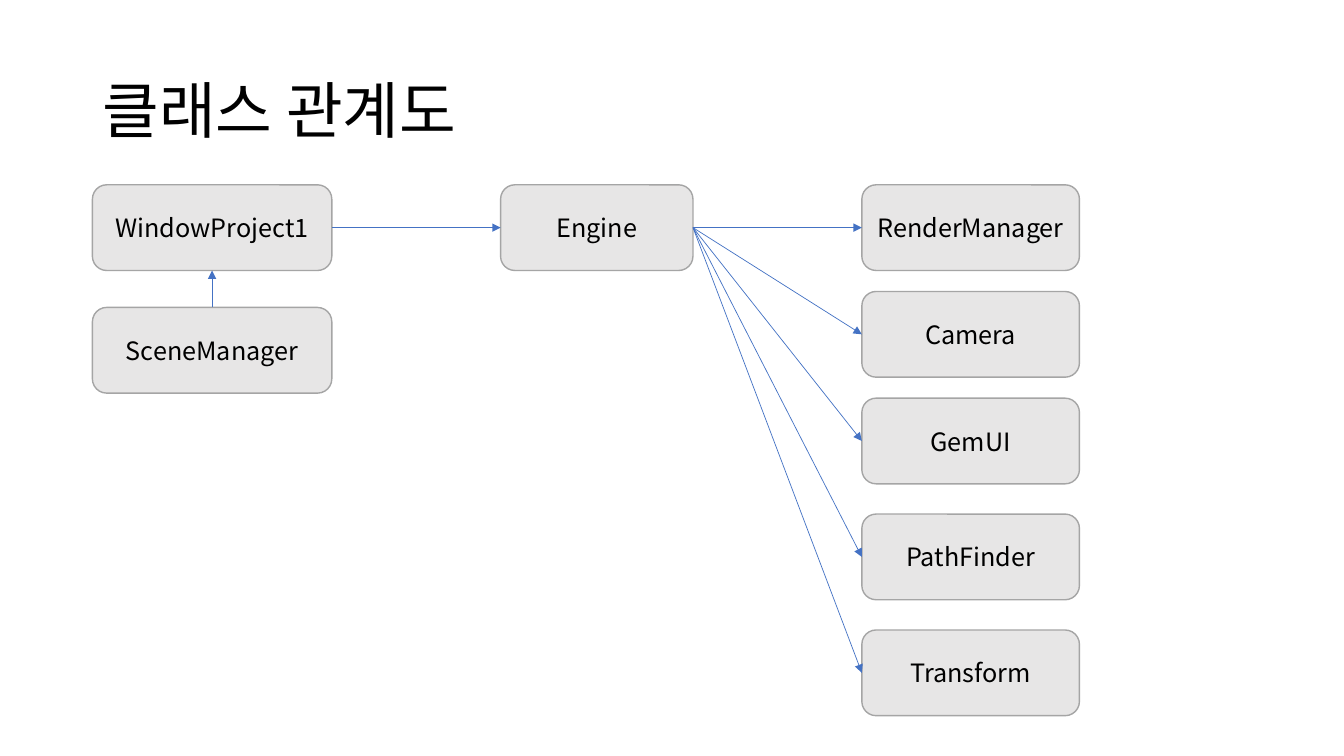
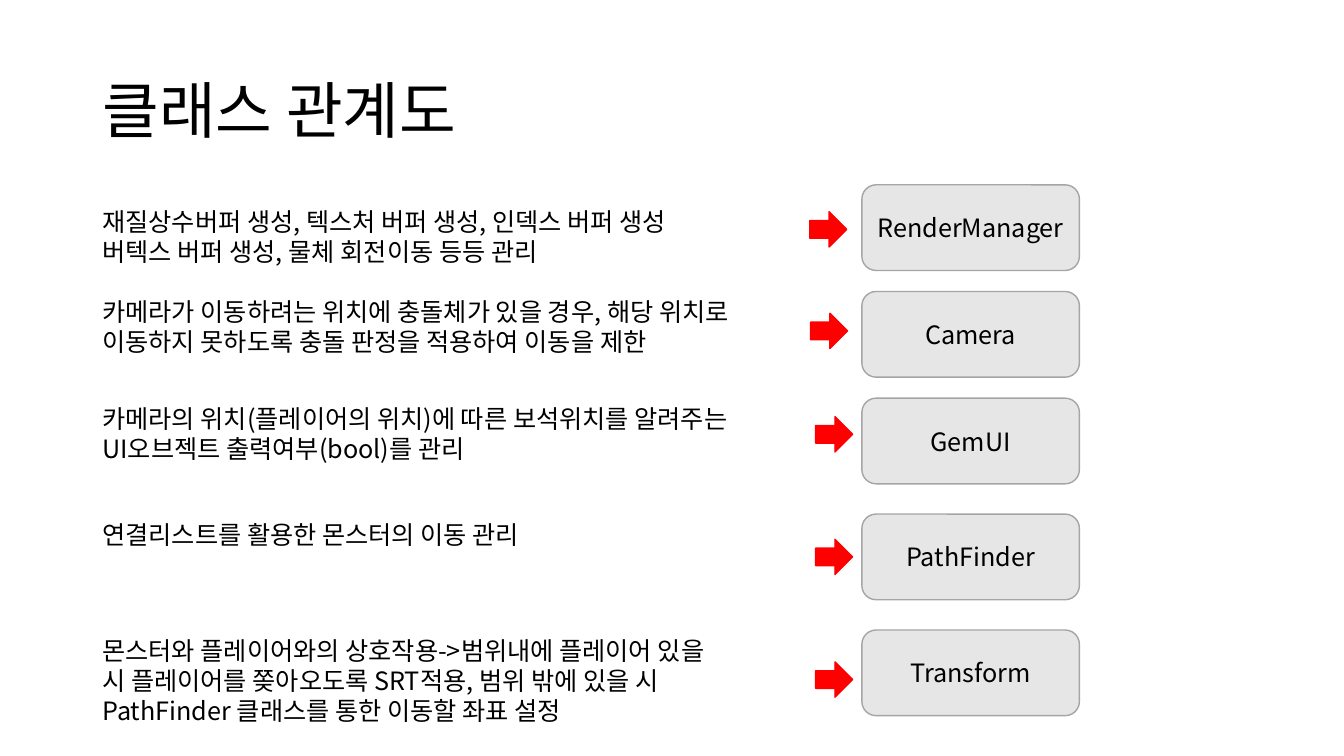
from dataclasses import dataclass

from lxml.etree import SubElement
from pptx import Presentation
from pptx.dml.color import RGBColor
from pptx.enum.shapes import MSO_CONNECTOR, MSO_SHAPE
from pptx.enum.text import MSO_ANCHOR, PP_ALIGN
from pptx.oxml.ns import qn
from pptx.util import Inches, Pt

BLACK = RGBColor(0x00, 0x00, 0x00)
GRAY_FILL = RGBColor(0xE7, 0xE6, 0xE6)
GRAY_LINE = RGBColor(0xA5, 0xA5, 0xA5)
BLUE = RGBColor(0x44, 0x72, 0xC4)
RED = RGBColor(0xFF, 0x00, 0x00)
FONT = "Noto Sans CJK KR"

SLIDE_WIDTH = Inches(13.33)
SLIDE_HEIGHT = Inches(7.5)
COLUMNS, ROWS = 160, 90
TOP, LEFT, BOTTOM, RIGHT = range(4)


@dataclass
class Box:
    left: float
    top: float
    width: float
    height: float

    def inner(self, left, top, width, height):
        return Box(self.left + left, self.top + top, width, height)

    def place(self):
        across = SLIDE_WIDTH / COLUMNS
        down = SLIDE_HEIGHT / ROWS
        return (round(self.left * across), round(self.top * down),
                round(self.width * across), round(self.height * down))


NODE_HEIGHT = 10.2
TITLE_BOX = Box(11, 4.8, 138, 17.4)
PROJECT_BOX = Box(11, 22, 28.5, NODE_HEIGHT)
SCENE_BOX = Box(11, 36.6, 28.5, NODE_HEIGHT)
ENGINE_BOX = Box(59.6, 22, 22.9, NODE_HEIGHT)
CLASSES_BOX = Box(102.6, 22, 25.9, 63.2)
NOTES_BOX = Box(11, 22, 91.6, 65)

CLASS_ROWS = {"RenderManager": 0, "Camera": 12.7, "GemUI": 25.4,
              "PathFinder": 39.2, "Transform": 53}


@dataclass
class Note:
    class_name: str
    lines: list
    arrow_left: float
    arrow_drop: float
    text_drop: float = 0


NOTES = [
    Note("RenderManager",
         ["재질상수버퍼 생성, 텍스처 버퍼 생성, 인덱스 버퍼 생성",
          "버텍스 버퍼 생성, 물체 회전이동 등등 관리"], 85.4, 3.2, 2),
    Note("Camera",
         ["카메라가 이동하려는 위치에 충돌체가 있을 경우, 해당 위치로",
          "이동하지 못하도록 충돌 판정을 적용하여 이동을 제한"], 85.5, 2.6),
    Note("GemUI",
         ["카메라의 위치(플레이어의 위치)에 따른 보석위치를 알려주는",
          "UI오브젝트 출력여부(bool)를 관리"], 86.1, 2.2),
    Note("PathFinder", ["연결리스트를 활용한 몬스터의 이동 관리"], 86.1, 3),
    Note("Transform",
         ["몬스터와 플레이어와의 상호작용->범위내에 플레이어 있을",
          "시 플레이어를 쫒아오도록 SRT적용, 범위 밖에 있을 시",
          "PathFinder 클래스를 통한 이동할 좌표 설정"], 86.1, 3.8),
]


def write(frame, lines, size, align=PP_ALIGN.LEFT, anchor=MSO_ANCHOR.TOP, spacing=None):
    frame.word_wrap = True
    frame.vertical_anchor = anchor
    frame.text = "\n".join(lines)
    for paragraph in frame.paragraphs:
        paragraph.alignment = align
        if spacing:
            paragraph.line_spacing = spacing
        paragraph.font.size = Pt(size)
        paragraph.font.color.rgb = BLACK
        paragraph.font.name = FONT
        properties = paragraph._p.pPr.find(qn("a:defRPr"))
        SubElement(properties, qn("a:ea")).set("typeface", FONT)


def add_text(slide, box, lines, size, **style):
    write(slide.shapes.add_textbox(*box.place()).text_frame, lines, size, **style)


def add_preset(slide, preset, box, fill, line):
    shape = slide.shapes.add_shape(preset, *box.place())
    shape.shadow.inherit = False
    shape.fill.solid()
    shape.fill.fore_color.rgb = fill
    shape.line.color.rgb = line
    shape.line.width = Pt(1)
    return shape


def add_node(slide, box, name):
    node = add_preset(slide, MSO_SHAPE.ROUNDED_RECTANGLE, box, GRAY_FILL, GRAY_LINE)
    write(node.text_frame, [name], 18, PP_ALIGN.CENTER, MSO_ANCHOR.MIDDLE)
    return node


def add_link(slide, source, source_side, target, target_side):
    link = slide.shapes.add_connector(MSO_CONNECTOR.STRAIGHT, 0, 0, 0, 0)
    link.begin_connect(source, source_side)
    link.end_connect(target, target_side)
    link.line.color.rgb = BLUE
    link.line.width = Pt(0.5)
    properties = link._element.spPr
    SubElement(properties.find(qn("a:ln")), qn("a:tailEnd")).set("type", "triangle")
    SubElement(properties, qn("a:effectLst"))


def add_classes(slide, box):
    return [add_node(slide, box.inner(0, row, box.width, NODE_HEIGHT), name)
            for name, row in CLASS_ROWS.items()]


def add_notes(slide, box):
    for note in NOTES:
        row = CLASS_ROWS[note.class_name]
        text_box = box.inner(0, row + note.text_drop, 85, 1.2 + 3.6 * len(note.lines))
        add_text(slide, text_box, note.lines, 18)
        arrow_box = box.inner(note.arrow_left, row + note.arrow_drop, 4.4, 4.2)
        add_preset(slide, MSO_SHAPE.RIGHT_ARROW, arrow_box, RED, RED)


def add_titled_slide(presentation):
    slide = presentation.slides.add_slide(presentation.slide_layouts[6])
    add_text(slide, TITLE_BOX, ["클래스 관계도"], 44,
             anchor=MSO_ANCHOR.MIDDLE, spacing=0.9)
    return slide


def add_relation_slide(presentation):
    slide = add_titled_slide(presentation)
    engine = add_node(slide, ENGINE_BOX, "Engine")
    project = add_node(slide, PROJECT_BOX, "WindowProject1")
    scene = add_node(slide, SCENE_BOX, "SceneManager")
    classes = add_classes(slide, CLASSES_BOX)
    add_link(slide, project, RIGHT, engine, LEFT)
    for class_node in classes:
        add_link(slide, engine, RIGHT, class_node, LEFT)
    add_link(slide, scene, TOP, project, BOTTOM)


def add_role_slide(presentation):
    slide = add_titled_slide(presentation)
    add_classes(slide, CLASSES_BOX)
    add_notes(slide, NOTES_BOX)


def main():
    presentation = Presentation()
    presentation.slide_width = SLIDE_WIDTH
    presentation.slide_height = SLIDE_HEIGHT
    add_relation_slide(presentation)
    add_role_slide(presentation)
    presentation.save("out.pptx")


if __name__ == "__main__":
    main()
